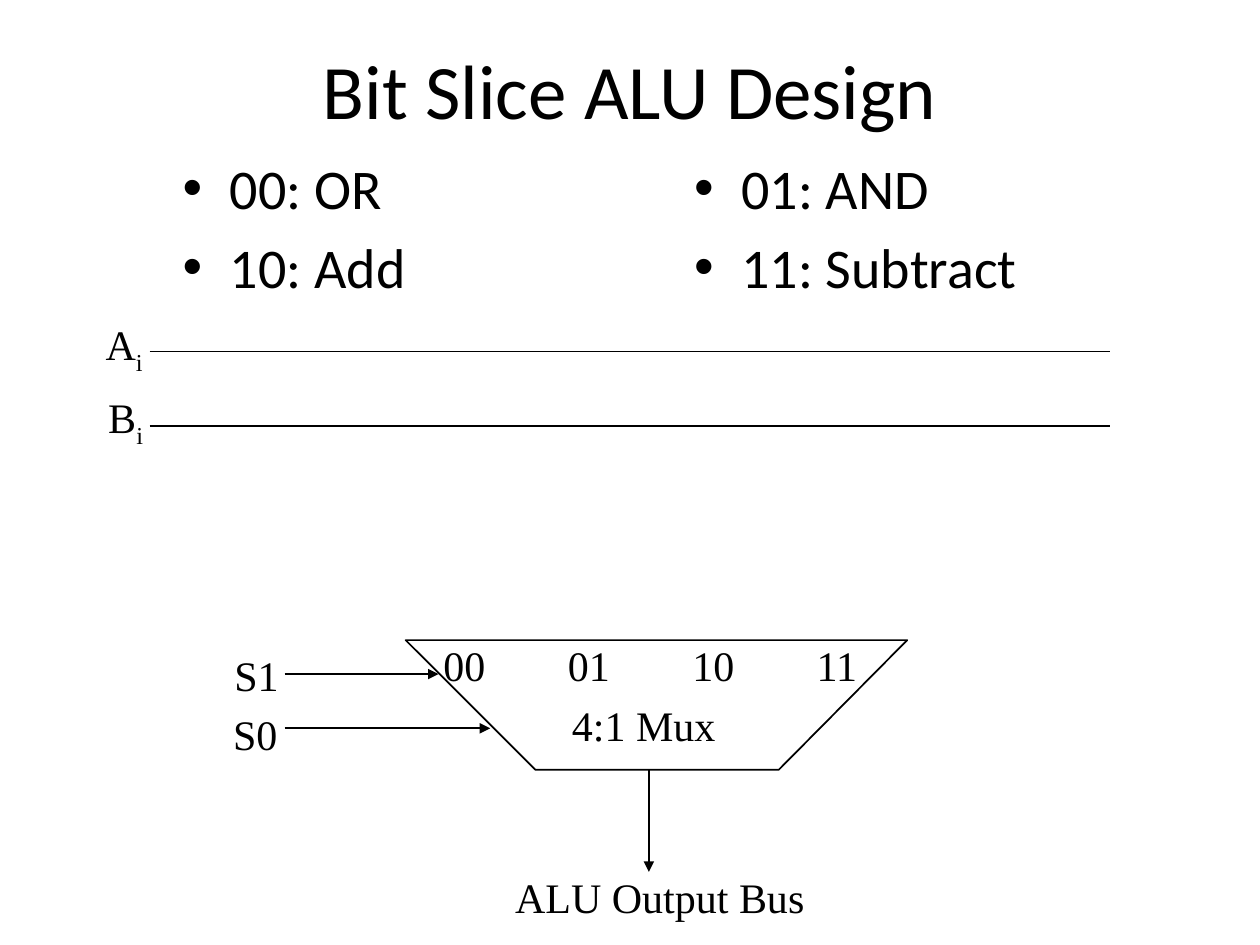
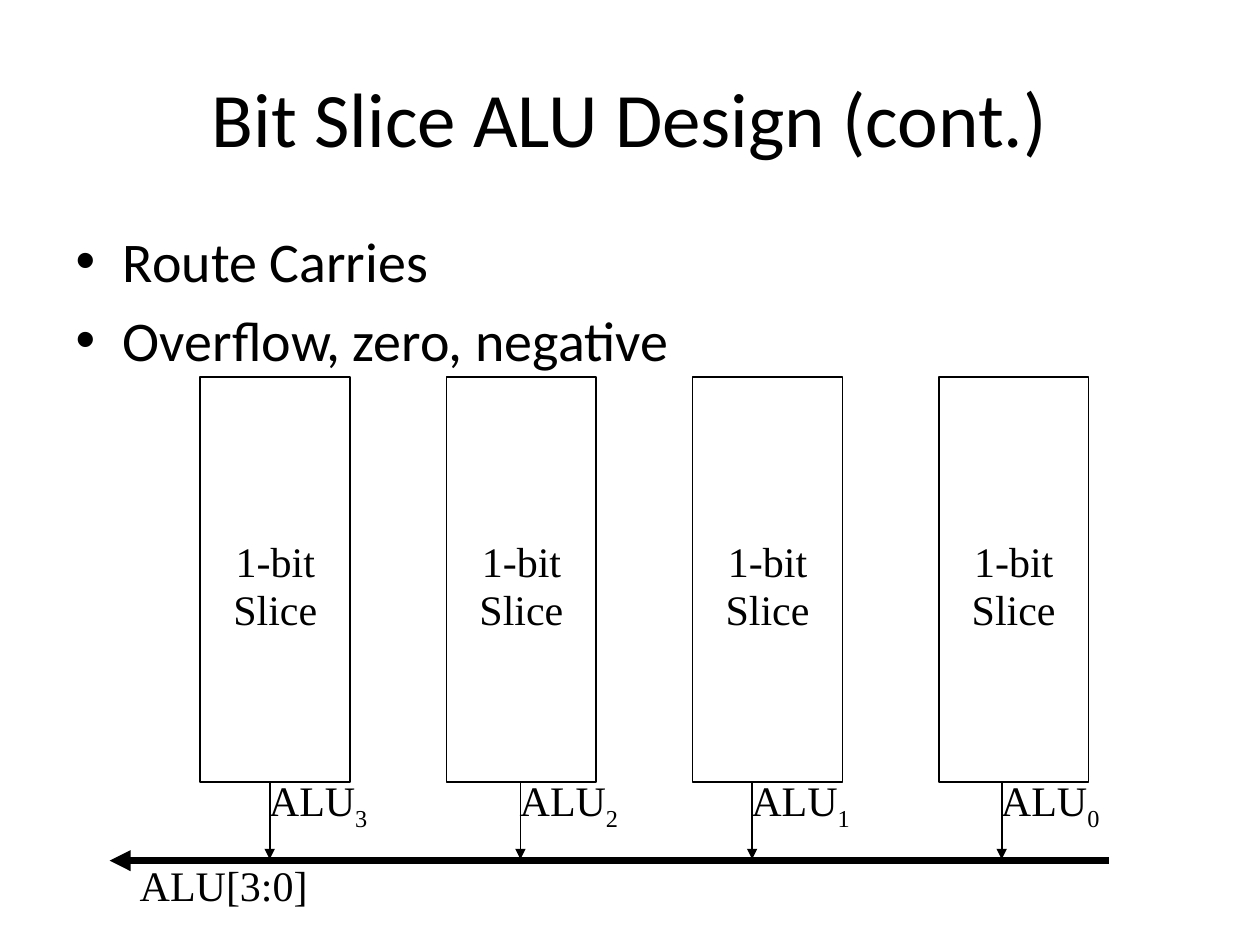
"""Two slides on the design of a bit slice ALU."""
from dataclasses import dataclass

from lxml import etree
from pptx import Presentation
from pptx.dml.color import RGBColor
from pptx.enum import shapes, text
from pptx.oxml import ns
from pptx.util import Pt

BLACK = RGBColor(0, 0, 0)
HEAD, SERIF = "Calibri", "Times New Roman"
ROW = 37.4  # height of a one-line label


@dataclass
class Label:
    """A serif label; sub is its subscript, tab the gap of its tab stops."""
    words: str
    x: float
    y: float
    w: float
    sub: str = ""
    h: float = ROW
    tab: float = 0
    align: text.PP_ALIGN = text.PP_ALIGN.LEFT


@dataclass
class Wire:
    """A straight line, with an arrowhead at its end if asked."""
    x1: float
    y1: float
    x2: float
    y2: float
    arrow: bool = False
    width: float = 1


def place(shape, x: float, y: float, w: float, h: float) -> None:
    """Move and size a shape, in points."""
    shape.left, shape.top, shape.width, shape.height = map(Pt, (x, y, w, h))


def style(para, name: str, size: float) -> None:
    """Set the font of a paragraph."""
    para.font.name, para.font.size = name, Pt(size)
    para.font.color.rgb = BLACK


def outline(shape) -> None:
    """Give a shape a thin black outline and nothing else."""
    shape.shadow.inherit = False
    shape.fill.background()
    shape.line.color.rgb, shape.line.width = BLACK, Pt(1)


def add_label(on, lab: Label) -> None:
    """Write a label; each line of its words is a paragraph."""
    box = on.add_textbox(*map(Pt, (lab.x, lab.y, lab.w, lab.h)))
    frame = box.text_frame
    frame.word_wrap = False
    frame.auto_size = text.MSO_AUTO_SIZE.NONE
    frame.margin_left = frame.margin_right = Pt(1.4)
    frame.margin_top = frame.margin_bottom = Pt(2.2)
    frame.text = lab.words
    for para in frame.paragraphs:
        para.alignment, para.line_spacing = lab.align, Pt(27.6)
        if lab.tab:
            stops = etree.SubElement(para._p.get_or_add_pPr(), ns.qn("a:tabLst"))
            for n in range(1, lab.words.count("\t") + 1):
                etree.SubElement(stops, ns.qn("a:tab"),
                                 pos=str(Pt(n * lab.tab)), algn="l")
        style(para, SERIF, 24)
    if lab.sub:
        run = frame.paragraphs[-1].add_run()
        run.text = lab.sub
        run._r.get_or_add_rPr().set("baseline", "-25000")


def add_wire(on, wire: Wire) -> None:
    """Draw a wire."""
    line = on.add_connector(shapes.MSO_CONNECTOR.STRAIGHT,
                            *map(Pt, (wire.x1, wire.y1, wire.x2, wire.y2)))
    line.line.color.rgb, line.line.width = BLACK, Pt(wire.width)
    if wire.arrow:
        etree.SubElement(line.line._get_or_add_ln(), ns.qn("a:tailEnd"),
                         type="triangle")
    etree.SubElement(line._element.spPr, ns.qn("a:effectLst"))


def add_slide(deck, title: str, top: float, items: list[str]):
    """Add a slide with a title and a bullet list; return slide and list."""
    slide = deck.slides.add_slide(deck.slide_layouts[1])
    head, body = slide.placeholders
    place(head, 36, top, 648, 90)
    head.text_frame.text = title
    body.text_frame.text = "\n".join(items)
    for shape, size in ((head, 44), (body, 32)):
        shape.text_frame.auto_size = text.MSO_AUTO_SIZE.NONE
        for para in shape.text_frame.paragraphs:
            style(para, HEAD, size)
    return slide, body


def draw_mux(deck) -> None:
    """Slide 1: the operations and the mux that selects among them."""
    slide, body = add_slide(deck, "Bit Slice ALU Design", 5.8,
                            ["00: OR", "10: Add", "01: AND", "11: Subtract"])
    place(body, 97.2, 84.2, 599, 148.3)
    # Two items fill the first column, the rest flow into the second.
    body.text_frame.margin_bottom = Pt(45)
    body.text_frame._txBody.bodyPr.set("numCol", "2")

    group = slide.shapes.add_group_shape().shapes
    add_label(group, Label("4:1 Mux", 325.4, 398.9, 114.5))
    add_label(group, Label("00\t01\t10\t11", 252, 364.3, 270, tab=71.1))
    top, base = 365.8, 439.9
    pen = group.build_freeform(Pt(231.8), Pt(top))
    pen.add_line_segments([(Pt(x), Pt(y)) for x, y in
                           ((518.4, top), (445, base), (306, base))])
    outline(pen.convert_to_shape())
    for name, x, y, mid, end in (("S1", 132.5, 370.1, 385.2, 250.6),
                                 ("S0", 131.8, 403.9, 416.2, 280.1)):
        add_label(group, Label(name, x, y, 58.3))
        add_wire(group, Wire(162.7, mid, end, mid, True))

    for name, x, y, mid in (("A", 59, 185, 200.9), ("B", 60.5, 226.8, 243.4)):
        add_label(slide.shapes, Label(name, x, y, 53, "i"))
        add_wire(slide.shapes, Wire(85.5, mid, 634.3, mid))
    add_wire(slide.shapes, Wire(370.8, base, 370.8, 498.2, True))
    add_label(slide.shapes, Label("ALU Output Bus", 293, 496.8, 196.6))


def draw_bus(deck) -> None:
    """Slide 2: four slices that feed one output bus."""
    slide, body = add_slide(deck, "Bit Slice ALU Design (cont.)", 21.6,
                            ["Route Carries", "Overflow, zero, negative"])
    place(body, 36, 126, 648, 356.4)
    left, step, top, wide, tall = 114.5, 140.63, 215.6, 85.7, 231.1
    foot, bus = top + tall, 491.8
    for n, stem in enumerate((154.1, 297.4, 429.8, 572.4)):
        x = left + n * step
        group = slide.shapes.add_group_shape().shapes
        add_label(group, Label("1-bit\nSlice", x, 305, wide, h=65,
                               align=text.PP_ALIGN.CENTER))
        outline(group.add_shape(shapes.MSO_SHAPE.RECTANGLE,
                                *map(Pt, (x, top, wide, tall))))
        add_label(slide.shapes, Label("ALU", stem - 1.8, foot - 1, 88.6,
                                      str(3 - n)))
        add_wire(slide.shapes, Wire(stem, foot, stem, bus - 0.8, True))
    add_wire(slide.shapes, Wire(633.6, bus, 62.6, bus, True, 4))
    add_label(slide.shapes, Label("ALU[3:0]", 78.5, 490.3, 127.4))


def main() -> None:
    """Build the deck and save it."""
    deck = Presentation()
    deck.slide_width, deck.slide_height = Pt(720), Pt(540)
    draw_mux(deck)
    draw_bus(deck)
    deck.save("out.pptx")


main()
